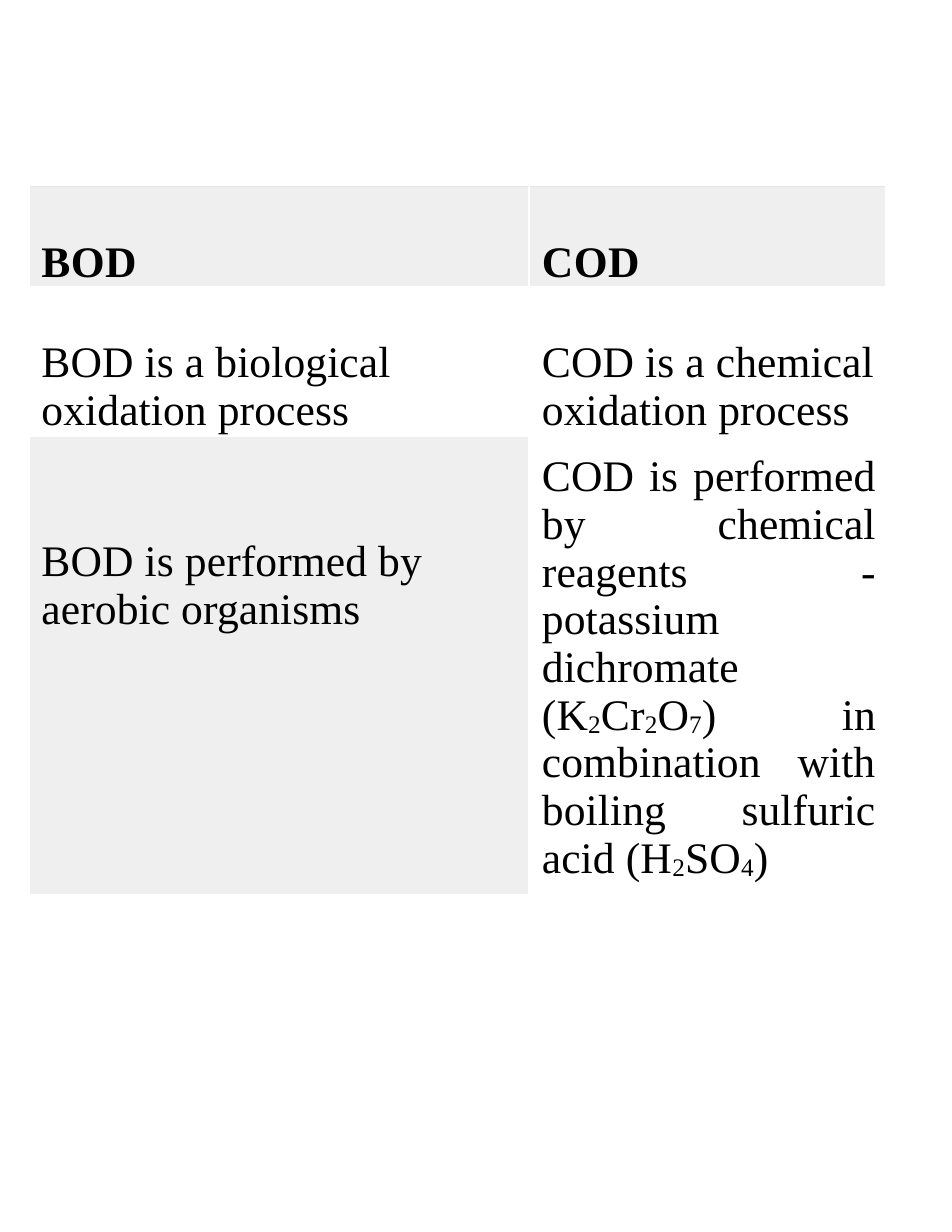
from lxml import etree
from pptx import Presentation
from pptx import util as u
from pptx.dml import color
from pptx.enum import text
from pptx.oxml import ns

GRAY, WHITE, RULE, BLACK = "EFEFEF", "FFFFFF", "E3E6E6", "000000"


def rgb(value):
    return color.RGBColor.from_string(value)


def add_border(cell, side, value, points):
    line = etree.SubElement(cell._tc.get_or_add_tcPr(), ns.qn(f"a:ln{side}"), w=str(u.Pt(points)))
    fill = etree.SubElement(line, ns.qn("a:solidFill"))
    etree.SubElement(fill, ns.qn("a:srgbClr"), val=value)


deck = Presentation()
deck.slide_width, deck.slide_height = u.Cm(21.59), u.Cm(27.94)
page = deck.slides.add_slide(deck.slide_layouts[6])

# Each cell: text with subscripts between bars, top margin in cm, fill
rows = [
    [("BOD", 1.17, GRAY), ("COD", 1.17, GRAY)],
    [("BOD is a biological oxidation process", 1.17, None),
     ("COD is a chemical oxidation process", 1.17, None)],
    [("BOD is performed by aerobic organisms", 2.29, GRAY),
     ("COD is performed by chemical reagents - potassium dichromate "
      "(K|2|Cr|2|O|7|) in combination with boiling sulfuric acid (H|2|SO|4|)", 0.38, None)],
]
widths = [11.35, 8.13]
heights = [2.26, 3.4, 10.39]

# Comparison table
table = page.shapes.add_table(len(rows), len(widths), u.Cm(0.64), u.Cm(4.24),
                              u.Cm(sum(widths)), u.Cm(sum(heights))).table
table.first_row = table.horz_banding = False
for column, width in zip(table.columns, widths):
    column.width = u.Cm(width)
for row, height in zip(table.rows, heights):
    row.height = u.Cm(height)

for r, row in enumerate(rows):
    for c, (wording, top, fill) in enumerate(row):
        cell = table.cell(r, c)
        header = r == 0
        justified = "|" in wording

        # Borders and fill
        add_border(cell, "L", WHITE, 1.5 if c else 3)
        add_border(cell, "R", WHITE, 3 if c else 1.5)
        if header:
            add_border(cell, "T", RULE, 0.75)
        if fill:
            cell.fill.solid()
            cell.fill.fore_color.rgb = rgb(fill)
        else:
            cell.fill.background()

        # Margins and paragraph
        cell.margin_left, cell.margin_top = u.Cm(0.3), u.Cm(top)
        cell.margin_right, cell.margin_bottom = u.Cm(0.25 if justified else 0), 0
        para = cell.text_frame.paragraphs[0]
        if justified:
            para.alignment = text.PP_ALIGN.JUSTIFY
            para.line_spacing = 0.99

        # Runs, every second one a subscript
        for i, part in enumerate(wording.split("|")):
            span = para.add_run()
            span.text = part
            span.font.name = "Times New Roman"
            span.font.size = u.Pt(28)
            span.font.bold = header
            span.font.color.rgb = rgb(BLACK)
            properties = span._r.get_or_add_rPr()
            properties.set("spc", "30" if header else "10")
            if i % 2:
                properties.set("baseline", "-7000")

deck.save("out.pptx")
